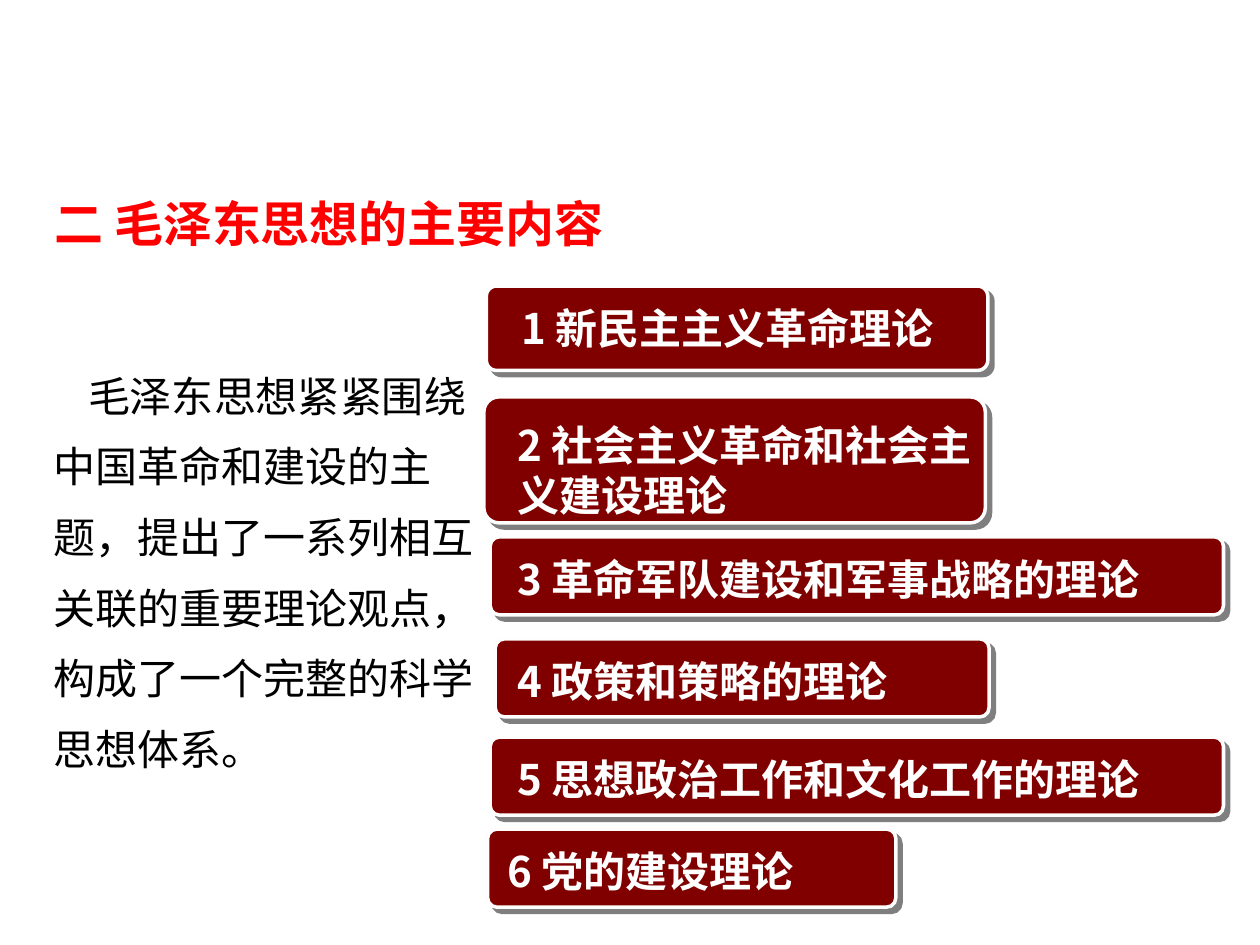
from pptx import Presentation
from pptx.dml.color import RGBColor
from pptx.enum.shapes import MSO_SHAPE
from pptx.enum.text import MSO_ANCHOR, MSO_AUTO_SIZE, PP_ALIGN
from pptx.oxml import parse_xml
from pptx.oxml.ns import nsdecls
from pptx.util import Inches, Pt

FONT = "Noto Sans CJK SC"
TITLE = "二 毛泽东思想的主要内容"
SUMMARY = ("毛泽东思想紧紧围绕中国革命和建设的主题，提出了一系列相互关联的"
           "重要理论观点，构成了一个完整的科学思想体系。")

TITLE_AREA = (3.3, 17.73, 51.3, 9.6)
SUMMARY_AREA = (3.3, 34.13, 37.1, 43.47)
LINE_HEIGHT, TALL_HEIGHT = 6.67, 12.13

THEORIES = [
    ("1 新民主主义革命理论", (38.6, 30.27, 39.8, 8.93), (40.4, 1.07, 38.1, LINE_HEIGHT)),
    ("2 社会主义革命和社会主义建设理论", (38.4, 42, 39.8, 13.33), (40.1, 1.73, 38.1, TALL_HEIGHT)),
    ("3 革命军队建设和军事战略的理论", (38.9, 56.8, 58.2, 8.27), (40.1, 1.07, 55.7, LINE_HEIGHT)),
    ("4 政策和策略的理论", (39.3, 67.6, 39.2, 8.27), (40.1, 1.07, 37.5, LINE_HEIGHT)),
    ("5 思想政治工作和文化工作的理论", (38.9, 78, 58.2, 8.27), (40.1, 1.07, 55.7, LINE_HEIGHT)),
    ("6 党的建设理论", (38.7, 87.73, 32.4, 8.27), (39.3, 1.07, 31, LINE_HEIGHT)),
]

deck = Presentation()
deck.slide_width, deck.slide_height = Inches(10), Inches(7.5)
page = deck.slides.add_slide(deck.slide_layouts[5])


def color(value):
    return RGBColor.from_string(value)


def area(left, top, width, height):
    across, down = deck.slide_width / 100, deck.slide_height / 100
    return int(left * across), int(top * down), int(width * across), int(height * down)


def write(box, text, size, ink, bold):
    box.text_frame.word_wrap = True
    para = box.text_frame.paragraphs[0]
    para.alignment = PP_ALIGN.LEFT
    span = para.add_run()
    span.text = text
    span.font.size, span.font.bold, span.font.name = Pt(size), bold, FONT
    span.font.color.rgb = color(ink)
    span.font._element.append(parse_xml(f'<a:ea {nsdecls("a")} typeface="{FONT}"/>'))
    return para


def add_shadow(bar):
    bar.shadow.inherit = False
    effects = bar._element.spPr.find("{*}effectLst")
    effects.append(parse_xml(
        f'<a:outerShdw {nsdecls("a")} blurRad="0" dist="{Pt(4.2)}" dir="2700000" '
        'algn="ctr" rotWithShape="0"><a:srgbClr val="000000">'
        '<a:alpha val="50000"/></a:srgbClr></a:outerShdw>'))


def add_theory(text, bar_area, label_area):
    group = page.shapes.add_group_shape()
    bar = group.shapes.add_shape(MSO_SHAPE.ROUNDED_RECTANGLE, *area(*bar_area))
    bar.adjustments[0] = 0.12
    bar.fill.solid()
    bar.fill.fore_color.rgb = color("800000")
    bar.line.color.rgb = color("FEFEFE")
    bar.line.width = Pt(2)
    add_shadow(bar)
    left, drop, width, height = label_area
    label = group.shapes.add_textbox(*area(left, bar_area[1] + drop, width, height))
    write(label, text, 24, "FFFFFF", True)


title = page.shapes.title
title.left, title.top, title.width, title.height = area(*TITLE_AREA)
title.text_frame.vertical_anchor = MSO_ANCHOR.BOTTOM
title.text_frame.auto_size = MSO_AUTO_SIZE.NONE
write(title, TITLE, 28, "FF0000", True)

summary = page.shapes.add_textbox(*area(*SUMMARY_AREA))
summary.text_frame.margin_top = Inches(0.22)
para = write(summary, SUMMARY, 24, "000000", False)
para.line_spacing = 1.4
settings = para._p.get_or_add_pPr()
settings.set("indent", str(Inches(0.27)))
settings.set("hangingPunct", "0")

for theory in THEORIES:
    add_theory(*theory)

deck.save("out.pptx")
